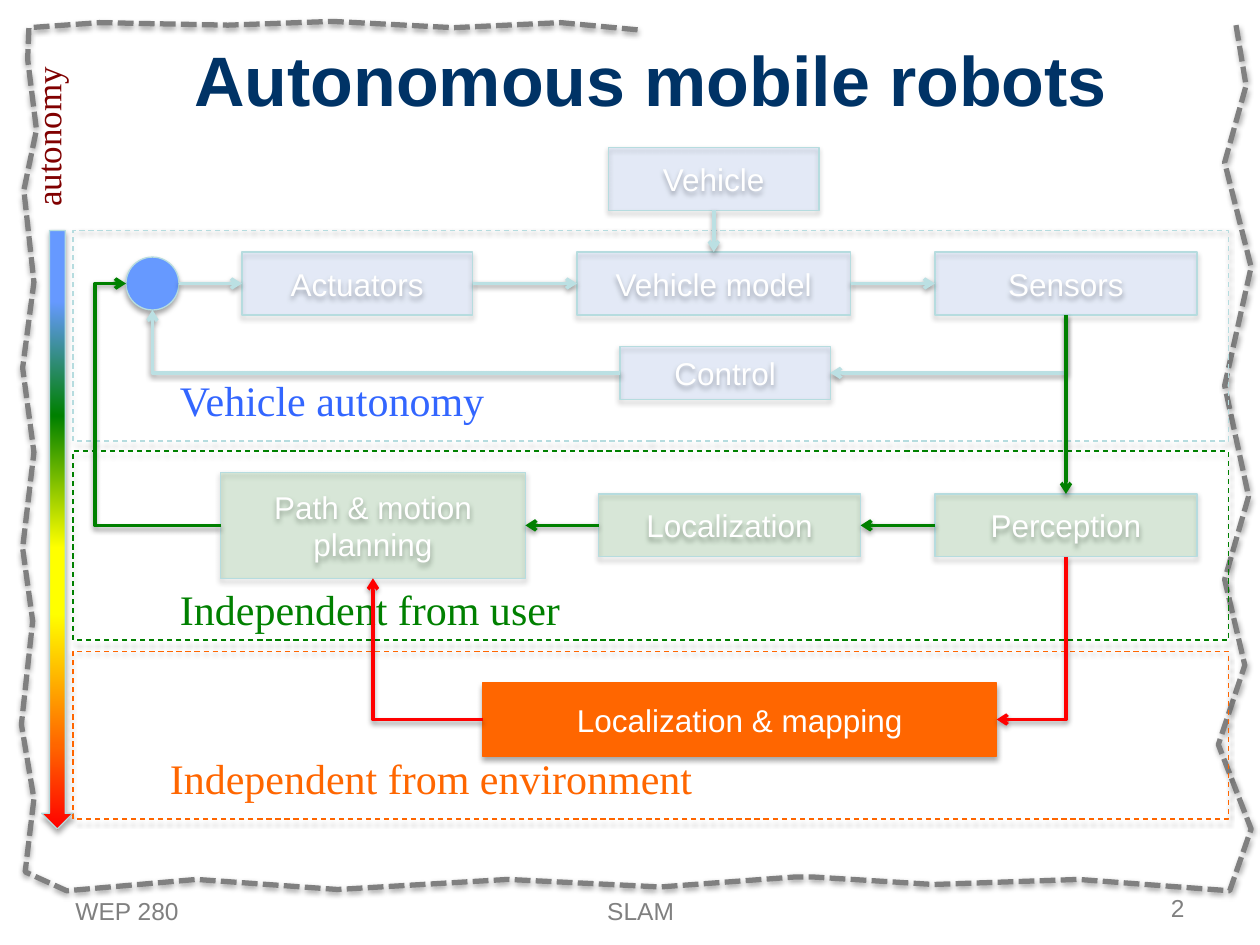
from dataclasses import dataclass

from pptx import Presentation
from pptx.dml.color import RGBColor
from pptx.enum.dml import MSO_LINE
from pptx.enum.shapes import MSO_CONNECTOR, MSO_SHAPE
from pptx.enum.text import MSO_ANCHOR, MSO_AUTO_SIZE, PP_ALIGN
from pptx.oxml import parse_xml
from pptx.oxml.ns import nsdecls, qn
from pptx.util import Inches, Pt

DASH, SHORT_DASH = MSO_LINE.DASH, MSO_LINE.SQUARE_DOT
STRAIGHT, ELBOW = MSO_CONNECTOR.STRAIGHT, MSO_CONNECTOR.ELBOW
RECTANGLE, CIRCLE, DOWN_ARROW = MSO_SHAPE.RECTANGLE, MSO_SHAPE.OVAL, MSO_SHAPE.DOWN_ARROW
LEFT, CENTER, RIGHT = PP_ALIGN.LEFT, PP_ALIGN.CENTER, PP_ALIGN.RIGHT
ANCHOR_TOP, ANCHOR_MIDDLE = MSO_ANCHOR.TOP, MSO_ANCHOR.MIDDLE
TOP_SIDE, LEFT_SIDE, BOTTOM_SIDE, RIGHT_SIDE = range(4)


@dataclass(frozen=True)
class Theme:
    """Colours, fonts and type sizes of the slide."""
    sans: str = "Arial"
    serif: str = "Times New Roman"
    navy: str = "003366"
    gray: str = "808080"
    white: str = "FFFFFF"
    maroon: str = "800000"
    blue: str = "6699FF"
    label_blue: str = "3366FF"
    green: str = "008000"
    yellow: str = "FFFF00"
    orange: str = "FF6600"
    red: str = "FF0000"
    outline: str = "B6DCDF"
    flow: str = "BBE0E3"
    title_size: int = 40
    label_size: int = 24
    axis_size: int = 20
    node_size: int = 18
    footer_size: int = 14


THEME = Theme()
BORDER = [
    (9.81, 0.2), (9.89, 0.68), (9.72, 1.29), (9.93, 2.12), (9.72, 3.06), (9.91, 3.94),
    (9.72, 4.6), (9.88, 5.28), (9.67, 5.91), (9.93, 6.58), (9.76, 7.07), (8.56, 6.98),
    (7.41, 7.02), (6.44, 6.96), (6.32, 6.96), (5.24, 7.04), (4.03, 6.98), (2.68, 7.06),
    (1.56, 6.98), (0.53, 7.07), (0.2, 6.92), (0.27, 6.34), (0.17, 5.75), (0.26, 4.93),
    (0.18, 4.35), (0.27, 3.59), (0.18, 2.92), (0.27, 2.24), (0.19, 1.51), (0.29, 1.03),
    (0.22, 0.47), (0.23, 0.22), (0.79, 0.18), (1.81, 0.2), (2.64, 0.17), (3.6, 0.22),
    (4.45, 0.18), (5.09, 0.24),
]


@dataclass(frozen=True)
class Box:
    """A rectangle in inches."""
    left: float
    top: float
    width: float
    height: float

    def inside(self, left, top, width, height):
        """Return a box offset from this box's corner."""
        return Box(self.left + left, self.top + top, width, height)

    def lengths(self):
        """Return left, top, width and height as lengths."""
        return [Inches(value) for value in (self.left, self.top, self.width, self.height)]


def cast_shadow(shape, alpha=35, distance=1.8):
    """Give a shape a soft shadow below it."""
    properties = shape._element.spPr
    for effects in properties.findall(qn("a:effectLst")):
        properties.remove(effects)
    properties.append(parse_xml(
        f'<a:effectLst {nsdecls("a")}><a:outerShdw blurRad="{Pt(3.1)}" dist="{Pt(distance)}" '
        f'dir="5400000" rotWithShape="0"><a:srgbClr val="000000"><a:alpha val="{alpha * 1000}"/>'
        '</a:srgbClr></a:outerShdw></a:effectLst>'))


def set_line(line, color, width=0.75, dash=None):
    """Format a line."""
    line.color.rgb = RGBColor.from_string(color)
    line.width = Pt(width)
    if dash is not None:
        line.dash_style = dash


def write(shape, text, size, color, font=THEME.sans, bold=False, align=LEFT,
          anchor=ANCHOR_TOP, wrap=True):
    """Write one formatted paragraph into a shape."""
    frame = shape.text_frame
    frame.auto_size = MSO_AUTO_SIZE.NONE
    frame.word_wrap = wrap
    frame.vertical_anchor = anchor
    paragraph = frame.paragraphs[0]
    paragraph.text = text
    paragraph.alignment = align
    paragraph.font.name = font
    paragraph.font.size = Pt(size)
    paragraph.font.bold = bold
    paragraph.font.color.rgb = RGBColor.from_string(color)


def add_text(slide, box, text, size, color, **formatting):
    """Add a text box."""
    shape = slide.shapes.add_textbox(*box.lengths())
    write(shape, text, size, color, **formatting)
    return shape


def add_node(slide, box, text="", fill=None, opacity=100, line=THEME.outline,
             dash=None, preset=RECTANGLE):
    """Add a shadowed shape with an optional centred caption."""
    shape = slide.shapes.add_shape(preset, *box.lengths())
    if fill is None:
        shape.fill.background()
    else:
        shape.fill.solid()
        shape.fill.fore_color.rgb = RGBColor.from_string(fill)
        if opacity < 100:
            color = shape._element.spPr.find(qn("a:solidFill"))[0]
            color.append(parse_xml(f'<a:alpha {nsdecls("a")} val="{opacity * 1000}"/>'))
    set_line(shape.line, line, dash=dash)
    cast_shadow(shape)
    if text:
        write(shape, text, THEME.node_size, THEME.white, align=CENTER, anchor=ANCHOR_MIDDLE)
    return shape


def side(shape, index):
    """Return the middle point of one side of a shape."""
    middle_x, middle_y = shape.left + shape.width // 2, shape.top + shape.height // 2
    return ((middle_x, shape.top), (shape.left, middle_y),
            (middle_x, shape.top + shape.height), (shape.left + shape.width, middle_y))[index]


def finish_arrow(connector, color):
    """Format a connector as an arrow."""
    set_line(connector.line, color, 2)
    line = connector._element.spPr.find(qn("a:ln"))
    line.append(parse_xml(f'<a:tailEnd {nsdecls("a")} type="arrow"/>'))
    cast_shadow(connector, 38, 1.6)


def link(slide, start, start_side, end, end_side, color):
    """Join two shapes with a straight arrow."""
    connector = slide.shapes.add_connector(
        STRAIGHT, *side(start, start_side), *side(end, end_side))
    if start.auto_shape_type == RECTANGLE:
        connector.begin_connect(start, start_side)
    connector.end_connect(end, end_side)
    finish_arrow(connector, color)


def bend(slide, start, end, color, down_first=False, overshoot=None):
    """Draw an elbow arrow leftwards, leaving either sideways or downwards."""
    width, height = abs(end[0] - start[0]), abs(end[1] - start[1])
    if down_first:
        width, height = height, width
    left, top = (start[0] + end[0] - width) // 2, (start[1] + end[1] - height) // 2
    connector = slide.shapes.add_connector(ELBOW, left, top, left + width, top + height)
    properties = connector._element.spPr
    properties.find(qn("a:xfrm")).set("rot", str((90 if down_first else 180) * 60000))
    geometry = properties.find(qn("a:prstGeom"))
    if overshoot is None:
        geometry.set("prst", "bentConnector2")
    else:
        geometry.find(qn("a:avLst")).append(parse_xml(
            f'<a:gd {nsdecls("a")} name="adj1" fmla="val {round(overshoot * 100000)}"/>'))
    finish_arrow(connector, color)


def add_border(slide):
    """Draw the ragged dashed border."""
    points = [(Inches(x), Inches(y)) for x, y in BORDER]
    builder = slide.shapes.build_freeform(*points[0])
    builder.add_line_segments(points[1:], close=False)
    shape = builder.convert_to_shape()
    shape.fill.background()
    set_line(shape.line, THEME.gray, 3, SHORT_DASH)
    cast_shadow(shape, 38, 1.6)


def add_title(slide, box):
    """Place and format the title placeholder."""
    title = slide.shapes.title
    title.left, title.top, title.width, title.height = box.lengths()
    write(title, "Autonomous mobile robots", THEME.title_size, THEME.navy,
          bold=True, align=CENTER, anchor=ANCHOR_MIDDLE)


def add_footer(slide, box):
    """Add the three footer texts."""
    for left, width, text, align, anchor in (
            (0, 2.33, "WEP 280", LEFT, ANCHOR_TOP),
            (2.92, 3.33, "SLAM", CENTER, ANCHOR_TOP),
            (6.67, 2.33, "2", RIGHT, ANCHOR_MIDDLE)):
        add_text(slide, box.inside(left, 0, width, box.height), text, THEME.footer_size,
                 THEME.gray, align=align, anchor=anchor)


def add_autonomy_scale(slide, box):
    """Add the gradient arrow and its upright caption."""
    caption = add_text(slide, box.inside(-0.61, -0.97, 1.32, 0.44), "autonomy", THEME.axis_size,
                       THEME.maroon, font=THEME.serif, wrap=False)
    caption.rotation = 270
    arrow = add_node(slide, box, preset=DOWN_ARROW)
    arrow.fill.gradient()
    arrow.fill.gradient_angle = 267
    stops = arrow._element.spPr.find(qn("a:gradFill")).find(qn("a:gsLst"))
    for stop in list(stops):
        stops.remove(stop)
    for position, color in ((12, THEME.blue), (31, THEME.green), (53, THEME.yellow),
                            (64, THEME.yellow), (86, THEME.orange), (100, THEME.red)):
        stops.append(parse_xml(f'<a:gs {nsdecls("a")} pos="{position * 1000}">'
                               f'<a:srgbClr val="{color}"/></a:gs>'))


def add_level(slide, box, line, label, label_box, label_color, nodes, fill, opacity=12,
              node_line=THEME.outline):
    """Add a dashed level with its label and nodes, and return the nodes by name."""
    add_node(slide, box, line=line, dash=DASH)
    add_text(slide, box.inside(*label_box), label, THEME.label_size, label_color,
             font=THEME.serif, wrap=False)
    return {text: add_node(slide, box.inside(*place), text, fill, opacity, node_line)
            for text, place in nodes.items()}


def add_flows(slide, nodes, circle):
    """Draw the arrows between the nodes."""
    sensors, perception = nodes["Sensors"], nodes["Perception"]
    control, planning = nodes["Control"], nodes["Path & motion planning"]
    mapping = nodes["Localization & mapping"]
    bend(slide, side(sensors, BOTTOM_SIDE), side(control, RIGHT_SIDE), THEME.flow, True)
    bend(slide, side(control, LEFT_SIDE), side(circle, BOTTOM_SIDE), THEME.flow)
    chain = [circle, nodes["Actuators"], nodes["Vehicle model"], sensors]
    for start, end in zip(chain, chain[1:]):
        link(slide, start, RIGHT_SIDE, end, LEFT_SIDE, THEME.flow)
    link(slide, sensors, BOTTOM_SIDE, perception, TOP_SIDE, THEME.green)
    chain = [perception, nodes["Localization"], planning]
    for start, end in zip(chain, chain[1:]):
        link(slide, start, LEFT_SIDE, end, RIGHT_SIDE, THEME.green)
    bend(slide, side(planning, LEFT_SIDE), side(circle, LEFT_SIDE), THEME.green, overshoot=1.33)
    bend(slide, side(perception, BOTTOM_SIDE), side(mapping, RIGHT_SIDE), THEME.red, True)
    bend(slide, side(mapping, LEFT_SIDE), side(planning, BOTTOM_SIDE), THEME.red)
    link(slide, nodes["Vehicle"], BOTTOM_SIDE, nodes["Vehicle model"], TOP_SIDE, THEME.flow)


def add_diagram(slide, box):
    """Add the three levels of autonomy and their flows."""
    nodes = add_level(
        slide, box.inside(0, 0, box.width, 1.67), THEME.outline,
        "Vehicle autonomy", (0.75, 1.09, 2.92, 0.51), THEME.label_blue,
        {"Vehicle": (4.25, -0.66, 1.67, 0.5), "Actuators": (1.34, 0.17, 1.83, 0.5),
         "Vehicle model": (4, 0.17, 2.17, 0.5), "Sensors": (6.84, 0.17, 2.08, 0.5),
         "Control": (4.34, 0.92, 1.67, 0.42)}, THEME.blue)
    nodes |= add_level(
        slide, box.inside(0, 1.75, box.width, 1.5), THEME.green,
        "Independent from user", (0.75, 1, 3.33, 0.51), THEME.green,
        {"Path & motion planning": (1.17, 0.17, 2.42, 0.84),
         "Localization": (4.17, 0.34, 2.08, 0.5), "Perception": (6.84, 0.34, 2.08, 0.5)},
        THEME.green)
    nodes |= add_level(
        slide, box.inside(0, 3.34, box.width, 1.33), THEME.orange,
        "Independent from environment", (0.67, 0.75, 4.4, 0.51), THEME.orange,
        {"Localization & mapping": (3.25, 0.25, 4.08, 0.58)}, THEME.orange, 100, THEME.orange)
    circle = add_node(slide, box.inside(0.42, 0.21, 0.42, 0.42), fill=THEME.blue, preset=CIRCLE)
    add_flows(slide, nodes, circle)


def main():
    """Build and save the slide."""
    presentation = Presentation()
    presentation.slide_width, presentation.slide_height = Inches(10), Inches(7.5)
    slide = presentation.slides.add_slide(presentation.slide_layouts[5])
    add_border(slide)
    add_title(slide, Box(0.5, 0.33, 9.33, 0.58))
    add_autonomy_scale(slide, Box(0.33, 1.83, 0.25, 4.75))
    add_diagram(slide, Box(0.58, 1.83, 9.17, 4.67))
    add_footer(slide, Box(0.5, 7.06, 9, 0.29))
    presentation.save("out.pptx")


if __name__ == "__main__":
    main()
